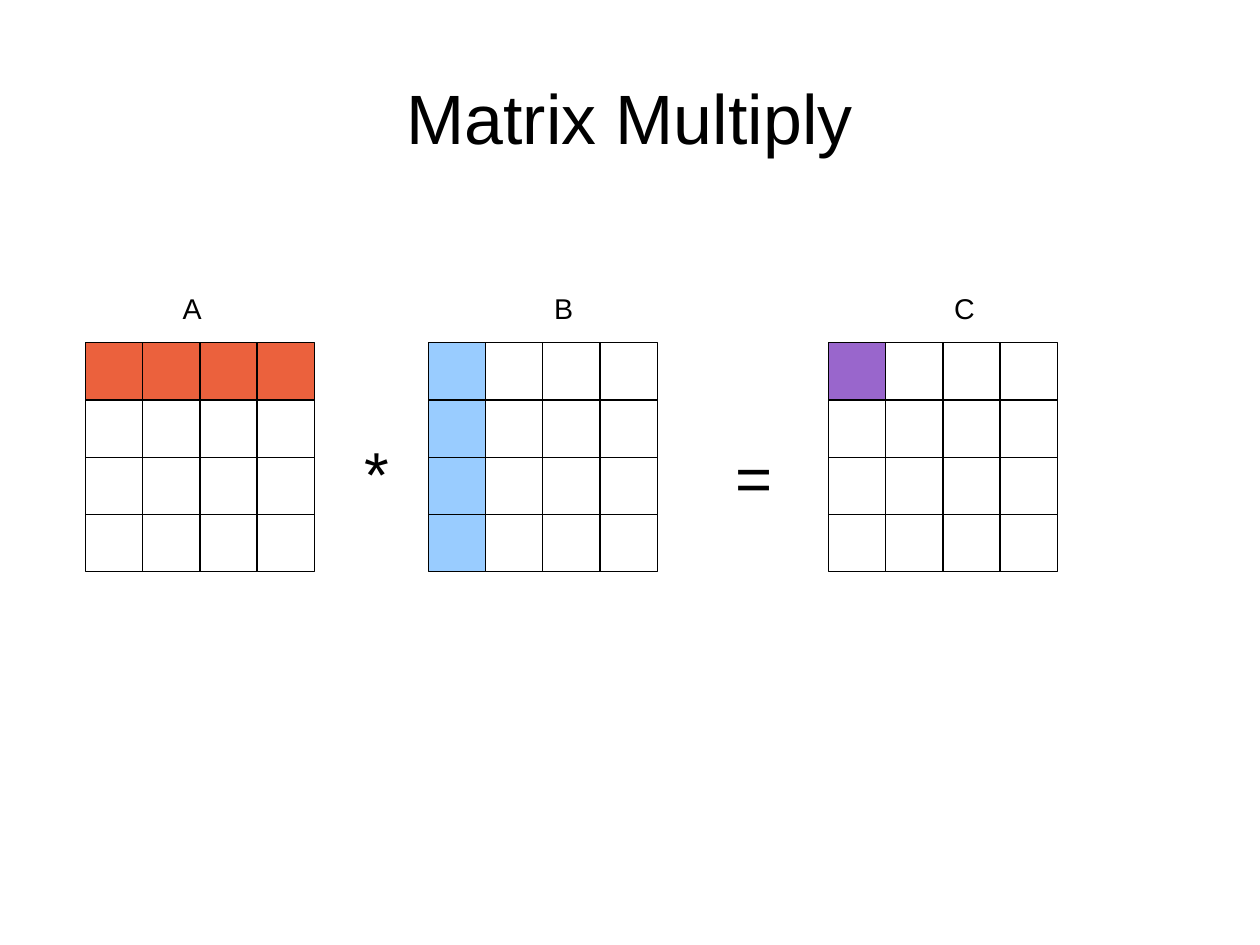
from dataclasses import dataclass

from pptx import Presentation
from pptx.dml.color import RGBColor as Rgb
from pptx.enum.shapes import MSO_SHAPE as Shape
from pptx.enum.text import MSO_ANCHOR as Anchor, MSO_AUTO_SIZE as AutoSize, PP_ALIGN as Align
from pptx.util import Pt


@dataclass(frozen=True)
class Theme:
    font: str = "Arial"
    ink: Rgb = Rgb(0, 0, 0)
    plain: Rgb = Rgb(255, 255, 255)
    row: Rgb = Rgb(0xEB, 0x61, 0x3D)
    column: Rgb = Rgb(0x99, 0xCC, 0xFF)
    result: Rgb = Rgb(0x99, 0x66, 0xCC)
    title_size: int = 44
    operator_size: int = 40
    label_size: int = 18


theme = Theme()


def add_text(para, text, size):
    span = para.add_run()
    span.text = text
    span.font.name = theme.font
    span.font.size = Pt(size)
    span.font.color.rgb = theme.ink


# Page of 28 by 21 cm
deck = Presentation()
deck.slide_width, deck.slide_height = Pt(793.7), Pt(595.28)
page = deck.slides.add_slide(deck.slide_layouts[5])

# Title
title = page.shapes.title
title.left, title.top, title.width, title.height = Pt(39.6), Pt(23.76), Pt(714.24), Pt(99.36)
frame = title.text_frame
frame.margin_left = frame.margin_top = frame.margin_right = frame.margin_bottom = 0
frame.vertical_anchor = Anchor.MIDDLE
frame.auto_size = AutoSize.NONE
frame.paragraphs[0].alignment = Align.CENTER
add_text(frame.paragraphs[0], "Matrix Multiply", theme.title_size)

# Matrices: left edge, highlighted (row, column) cells, highlight colour
count, cell, grid_top = 4, 36, 216
matrices = [
    (54, {(0, col) for col in range(count)}, theme.row),
    (270, {(row, 0) for row in range(count)}, theme.column),
    (522, {(0, 0)}, theme.result),
]
for grid_left, marked, colour in matrices:
    for row in range(count):
        for col in range(count):
            box = page.shapes.add_shape(
                Shape.RECTANGLE, Pt(grid_left + col * cell), Pt(grid_top + row * cell),
                Pt(cell), Pt(cell))
            box.shadow.inherit = False
            box.fill.solid()
            box.fill.fore_color.rgb = colour if (row, col) in marked else theme.plain
            box.line.color.rgb = theme.ink
            box.line.width = Pt(0)

# Operators and matrix names
labels = [
    ("*", 222.48, 270, 29.52, 51.84, theme.operator_size),
    ("=", 456.48, 272.16, 37.44, 66.96, theme.operator_size),
    ("A", 108, 180, 25.92, 27.36, theme.label_size),
    ("B", 342, 180, 25.92, 27.36, theme.label_size),
    ("C", 594, 180, 27.36, 27.36, theme.label_size),
]
for text, left, top, width, height, size in labels:
    box = page.shapes.add_textbox(Pt(left), Pt(top), Pt(width), Pt(height))
    box.text_frame.word_wrap = False
    add_text(box.text_frame.paragraphs[0], text, size)

deck.save("out.pptx")
